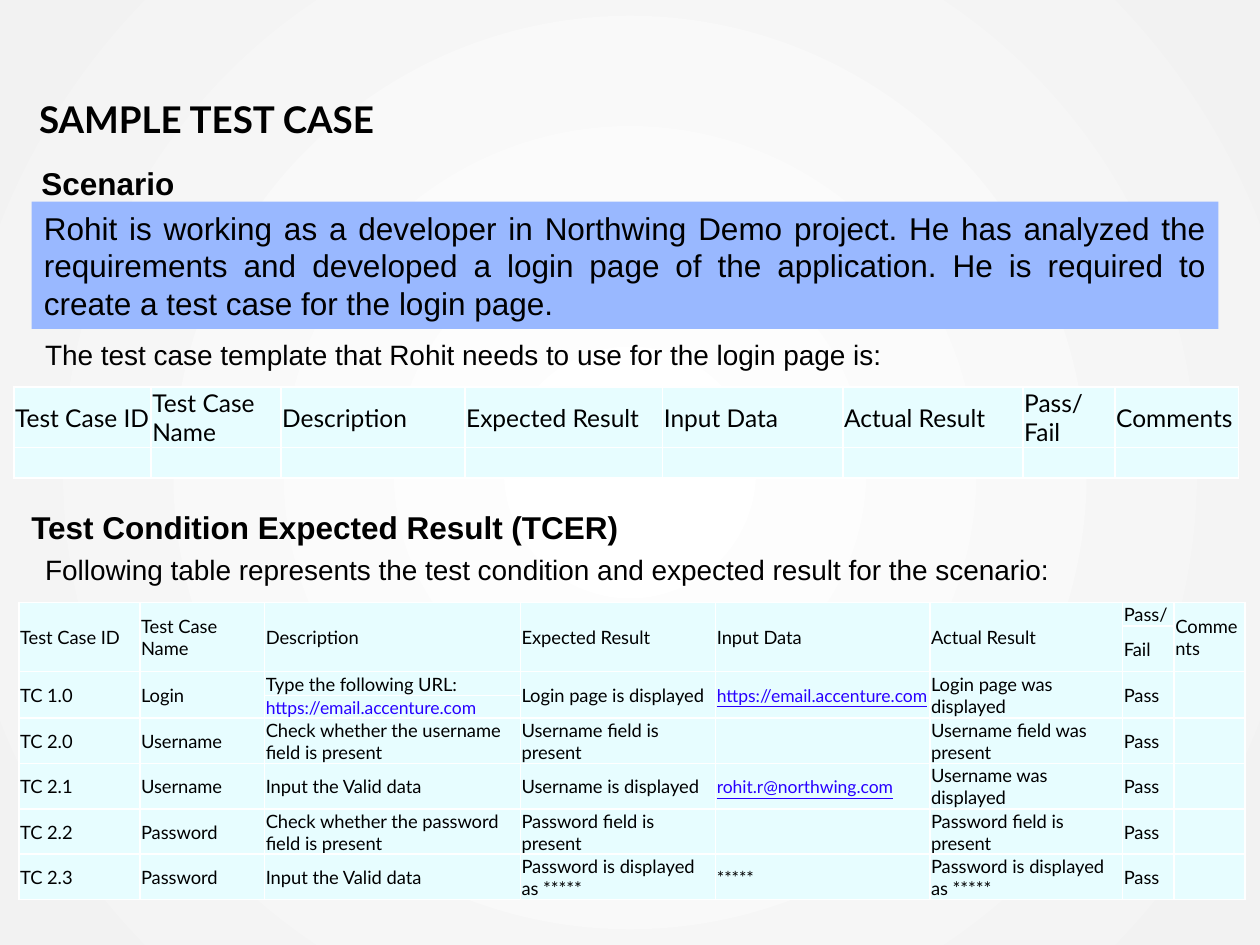
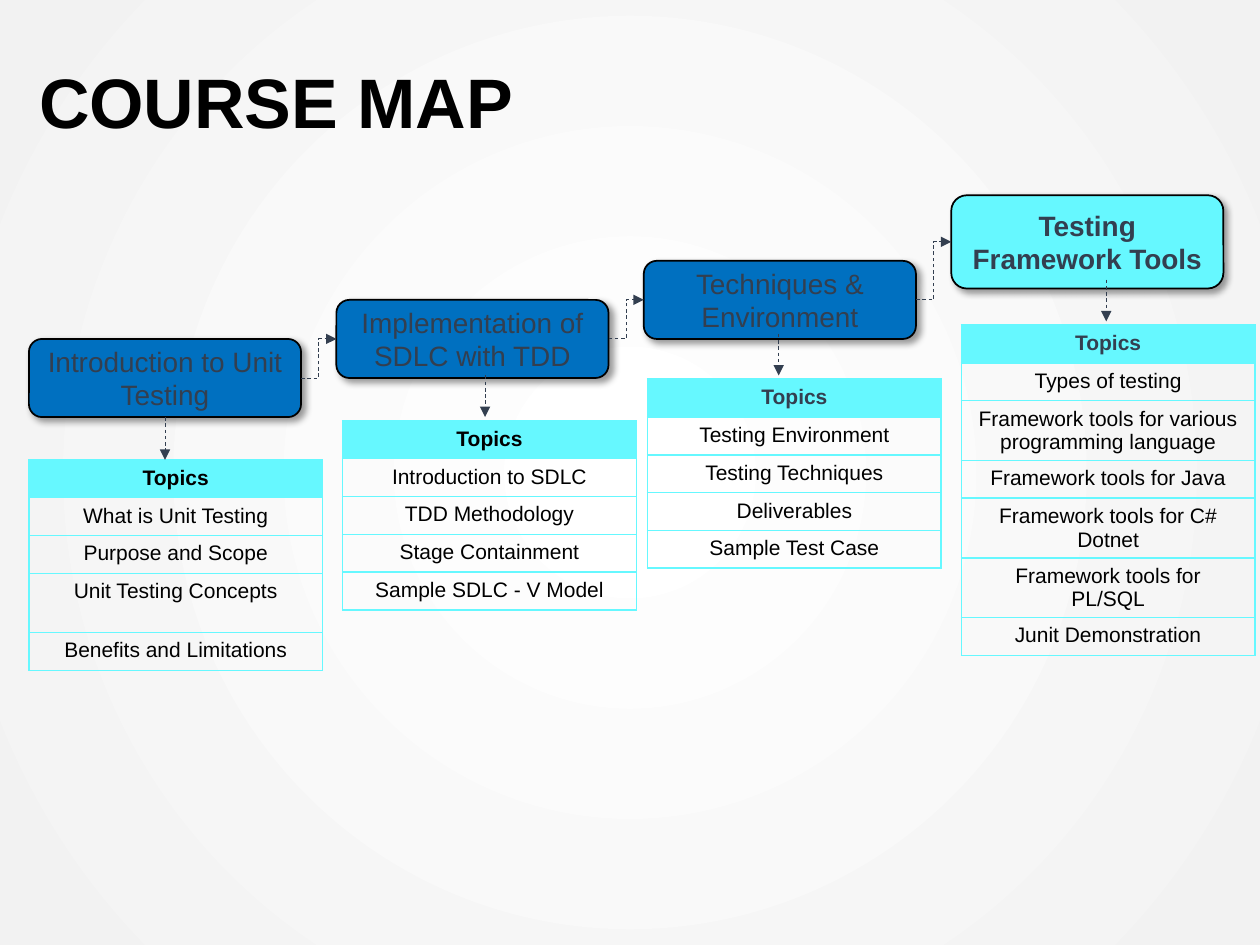
from dataclasses import dataclass, replace

from lxml.etree import SubElement
from pptx import Presentation
from pptx.dml.color import RGBColor
from pptx.enum.dml import MSO_LINE_DASH_STYLE as Dash
from pptx.enum.shapes import MSO_CONNECTOR as Connector, MSO_SHAPE as Shape
from pptx.enum.text import MSO_ANCHOR as Anchor, MSO_AUTO_SIZE as AutoSize, PP_ALIGN as Align
from pptx.oxml.ns import qn
from pptx.util import Inches, Pt


@dataclass(frozen=True)
class TextStyle:
    size: float
    font: str = "Arial"
    color: str = "000000"
    bold: bool = False
    underline: bool = False


@dataclass(frozen=True)
class Theme:
    center: str = "FFFFFF"
    edge: str = "F2F2F2"
    black: str = "000000"
    white: str = "FFFFFF"
    slate: str = "333F50"
    blue: str = "0070C0"
    cyan: str = "66F8FF"
    pale_cyan: str = "E7FDFF"
    periwinkle: str = "99B8FF"
    sample_title: TextStyle = TextStyle(21, "Lato", bold=True)
    map_title: TextStyle = TextStyle(40, bold=True)
    heading: TextStyle = TextStyle(18, bold=True)
    scenario: TextStyle = TextStyle(18)
    lead: TextStyle = TextStyle(16)
    template_cell: TextStyle = TextStyle(14, "Lato")
    result_cell: TextStyle = TextStyle(10.5, "Lato")
    result_input: TextStyle = TextStyle(10, "Lato")
    result_link: TextStyle = TextStyle(10, "Lato", "2800FF", underline=True)
    module: TextStyle = TextStyle(16, color=slate)
    topic: TextStyle = TextStyle(12)


THEME = Theme()
HEADERS = ["Test Case ID", "Test Case Name", "Description", "Expected Result",
           "Input Data", "Actual Result", "Pass/Fail", "Comments"]
EMPTY = [None] * 8
SITE = "https://email.accenture.com"
RESULTS = [
    HEADERS[:6] + ["Pass/", "Comments"],
    EMPTY[:6] + ["Fail", None],
    ["TC 1.0", "Login", "Type the following URL:", "Login page is displayed",
     SITE, "Login page was displayed", "Pass", None],
    EMPTY[:2] + [SITE] + EMPTY[3:],
    ["TC 2.0", "Username", "Check whether the username field is present",
     "Username field is present", None, "Username field was present", "Pass", None],
    ["TC 2.1", "Username", "Input the Valid data", "Username is displayed",
     "rohit.r@northwing.com", "Username was displayed", "Pass", None],
    ["TC 2.2", "Password", "Check whether the password field is present",
     "Password field is present", None, "Password field is present", "Pass", None],
    ["TC 2.3", "Password", "Input the Valid data", "Password is displayed as *****",
     "*****", "Password is displayed as *****", "Pass", None],
]


@dataclass(frozen=True)
class Module:
    name: str
    box_top: float
    arrow: tuple
    table_at: tuple
    topics: list
    tall_rows: tuple = ()
    box_height: float = 0.62
    current: bool = False
    header_color: str = THEME.black


MODULES = [
    Module("Introduction to Unit Testing", 2.69, (1.31, 3.32), (0.23, 3.65),
           ["What is Unit Testing", "Purpose and Scope", "Unit Testing Concepts",
            "Benefits and Limitations"], tall_rows=(3,)),
    Module("Implementation of SDLC with TDD", 2.38, (3.85, 2.98), (2.72, 3.34),
           ["Introduction to SDLC", "TDD Methodology", "Stage Containment",
            "Sample SDLC - V Model"]),
    Module("Techniques & Environment", 2.07, (6.18, 2.65), (5.14, 3.01),
           ["Testing Environment", "Testing Techniques", "Deliverables",
            "Sample Test Case"], header_color=THEME.slate),
    Module("Testing Framework Tools", 1.55, (8.78, 2.22), (7.63, 2.58),
           ["Types of testing", "Framework tools for various programming language",
            "Framework tools for Java", "Framework tools for C# Dotnet",
            "Framework tools for\nPL/SQL", "Junit Demonstration"],
           tall_rows=(2, 4, 5), box_height=0.74, current=True, header_color=THEME.slate),
]


def rgb(color):
    return RGBColor.from_string(color)


class SlideBuilder:
    def __init__(self, deck, theme):
        self.deck, self.theme, self.page = deck, theme, None
        self.paint_background()

    def paint_background(self):
        """Radial gradient on the master, shared by every slide."""
        master = self.deck.slide_master
        fill = master.background.fill
        fill.gradient()
        stops = [(0.02, self.theme.center), (1, self.theme.edge)]
        for stop, (position, color) in zip(fill.gradient_stops, stops):
            stop.position = position
            stop.color.rgb = rgb(color)
        linear = master.element.find(".//" + qn("a:lin"))
        gradient = linear.getparent()
        gradient.remove(linear)
        radial = SubElement(gradient, qn("a:path"), path="circle")
        SubElement(radial, qn("a:fillToRect"),
                   {side: "50000" for side in ("l", "t", "r", "b")})

    def new_page(self, title, style):
        self.page = self.deck.slides.add_slide(self.deck.slide_layouts[5])
        box = self.page.shapes.title
        box.left, box.top, box.width, box.height = map(Inches, (0.31, 0, 9.38, 1.11))
        frame = box.text_frame
        frame.auto_size = AutoSize.NONE
        frame.vertical_anchor = Anchor.BOTTOM
        frame.margin_left = frame.margin_right = frame.margin_bottom = 0
        frame.margin_top = Inches(0.05)
        self.put_text(frame, title, style, Align.LEFT)
        frame.paragraphs[0].line_spacing = 0.7

    def put_text(self, frame, text, style, align=Align.LEFT):
        para = frame.paragraphs[0]
        para.alignment = align
        if not text:
            # An empty cell keeps the type size of its table
            SubElement(para._p, qn("a:endParaRPr"), sz=str(int(style.size * 100)))
            return
        for index, line in enumerate(text.split("\n")):
            if index:
                para.add_line_break()
            span = para.add_run()
            span.text = line
            font = span.font
            font.name, font.size = style.font, Pt(style.size)
            font.bold, font.underline = style.bold, style.underline
            font.color.rgb = rgb(style.color)

    def text(self, left, top, width, height, text, style):
        box = self.page.shapes.add_textbox(*map(Inches, (left, top, width, height)))
        box.text_frame.word_wrap = True
        self.put_text(box.text_frame, text, style)

    def panel(self, kind, at, text, style, fill, align, outline=None):
        box = self.page.shapes.add_shape(kind, *map(Inches, at))
        box.shadow.inherit = False
        box.fill.solid()
        box.fill.fore_color.rgb = rgb(fill)
        if outline:
            box.line.color.rgb = rgb(outline)
            box.line.width = Pt(1)
        else:
            box.line.fill.background()
        box.text_frame.word_wrap = True
        box.text_frame.vertical_anchor = Anchor.MIDDLE
        self.put_text(box.text_frame, text, style, align)
        return box

    def drop_shadow(self, box):
        effects = box._element.spPr.find(qn("a:effectLst"))
        shadow = SubElement(effects, qn("a:outerShdw"), blurRad=str(Pt(4)),
                            dist=str(Pt(3)), dir="2700000", algn="tl", rotWithShape="0")
        color = SubElement(shadow, qn("a:srgbClr"), val=self.theme.black)
        SubElement(color, qn("a:alpha"), val="40000")

    def arrow(self, kind, start=(0, 0), end=(0, 0), source=None, target=None):
        """Source and target are (box, side) pairs."""
        line = self.page.shapes.add_connector(kind, *map(Inches, (*start, *end)))
        if source:
            line.begin_connect(*source)
        if target:
            line.end_connect(*target)
        line.line.color.rgb = rgb(self.theme.slate)
        line.line.width = Pt(0.5)
        line.line.dash_style = Dash.DASH
        SubElement(line.line._get_or_add_ln(), qn("a:tailEnd"), type="triangle")
        SubElement(line._element.spPr, qn("a:effectLst"))

    def table(self, left, top, columns, heights, rows, style_for, fill_for, border,
              align=Align.LEFT, tight=False):
        size = (len(rows), len(columns))
        frame = self.page.shapes.add_table(
            *size, *map(Inches, (left, top, sum(columns), sum(heights))))
        table = frame.table
        table.first_row = table.horz_banding = False
        for column, width in zip(table.columns, columns):
            column.width = Inches(width)
        for row, height in zip(table.rows, heights):
            row.height = Inches(height)
        for r, values in enumerate(rows):
            for c, value in enumerate(values):
                cell = table.cell(r, c)
                if tight:
                    cell.margin_left = cell.margin_right = cell.margin_top = Inches(0.01)
                    cell.margin_bottom = 0
                    cell.vertical_anchor = Anchor.MIDDLE
                self.put_text(cell.text_frame, value, style_for(r, value), align)
                self.cell_look(cell, border, fill_for(r))
        return table

    def cell_look(self, cell, border, fill):
        properties = cell._tc.get_or_add_tcPr()
        for side in ("lnL", "lnR", "lnT", "lnB"):
            line = SubElement(properties, qn("a:" + side), w=str(Pt(1)))
            SubElement(SubElement(line, qn("a:solidFill")), qn("a:srgbClr"), val=border)
        if fill:
            cell.fill.solid()
            cell.fill.fore_color.rgb = rgb(fill)
        else:
            cell.fill.background()


def result_style(row, value):
    if value and (value == SITE or "@" in value):
        return THEME.result_link
    return THEME.result_input if value == "*****" else THEME.result_cell


def sample_test_case(builder):
    builder.new_page("SAMPLE TEST CASE", THEME.sample_title)
    look = dict(fill_for=lambda row: THEME.pale_cyan, border=THEME.white, tight=True)

    # Scenario
    builder.text(0.23, 1.25, 1.27, 0.4, "Scenario", THEME.heading)
    builder.panel(
        Shape.RECTANGLE, (0.25, 1.6, 9.42, 1.01),
        "Rohit is working as a developer in Northwing Demo project. He has analyzed the "
        "requirements and developed a login page of the application. He is required to "
        "create a test case for the login page.",
        THEME.scenario, THEME.periwinkle, Align.JUSTIFY)

    # Blank template
    builder.text(0.26, 2.63, 9.57, 0.37,
                 "The test case template that Rohit needs to use for the login page is:",
                 THEME.lead)
    builder.table(0.11, 3.07, [1.09, 1.03, 1.46, 1.57, 1.43, 1.43, 0.73, 0.98],
                  [0.48, 0.24], [HEADERS, EMPTY],
                  lambda row, value: THEME.template_cell, **look)

    # Filled-in results
    builder.text(0.15, 3.98, 4.98, 0.4, "Test Condition Expected Result (TCER)", THEME.heading)
    builder.text(0.26, 4.34, 9.57, 0.37,
                 "Following table represents the test condition and expected result "
                 "for the scenario:", THEME.lead)
    results = builder.table(0.15, 4.78, [0.96, 0.99, 2.03, 1.55, 1.7, 1.53, 0.41, 0.56],
                            [0.19, 0.35, 0.19, 0.18] + [0.36] * 4, RESULTS,
                            result_style, **look)
    for row in (0, 2):
        for column, below in enumerate(RESULTS[row + 1]):
            if below is None:
                results.cell(row, column).merge(results.cell(row + 1, column))


def course_map(builder):
    builder.new_page("COURSE MAP", THEME.map_title)

    # Staircase of modules
    boxes = []
    for index, module in enumerate(MODULES):
        box = builder.panel(
            Shape.ROUNDED_RECTANGLE,
            (0.23 + 2.44 * index, module.box_top, 2.16, module.box_height),
            module.name, replace(THEME.module, bold=module.current),
            THEME.cyan if module.current else THEME.blue, Align.CENTER, THEME.black)
        builder.drop_shadow(box)
        boxes.append(box)
    for box, following in zip(boxes, boxes[1:]):
        builder.arrow(Connector.ELBOW, source=(box, 3), target=(following, 1))

    # Topics under each module
    for index, module in enumerate(MODULES):
        rows = [["Topics"]] + [[topic] for topic in module.topics]
        header = replace(THEME.topic, bold=True, color=module.header_color)
        builder.table(
            *module.table_at, [2.33],
            [0.47 if row in module.tall_rows else 0.3 for row in range(len(rows))], rows,
            lambda row, value: THEME.topic if row else header,
            lambda row: None if row else THEME.cyan, THEME.cyan, Align.CENTER)
        x, y = module.arrow
        builder.arrow(Connector.STRAIGHT, (x, y), (x, y + 0.33),
                      source=None if index else (boxes[0], 2))


def main():
    deck = Presentation()
    deck.slide_width, deck.slide_height = Inches(10), Inches(7.5)
    builder = SlideBuilder(deck, THEME)
    sample_test_case(builder)
    course_map(builder)
    deck.save("out.pptx")


if __name__ == "__main__":
    main()
